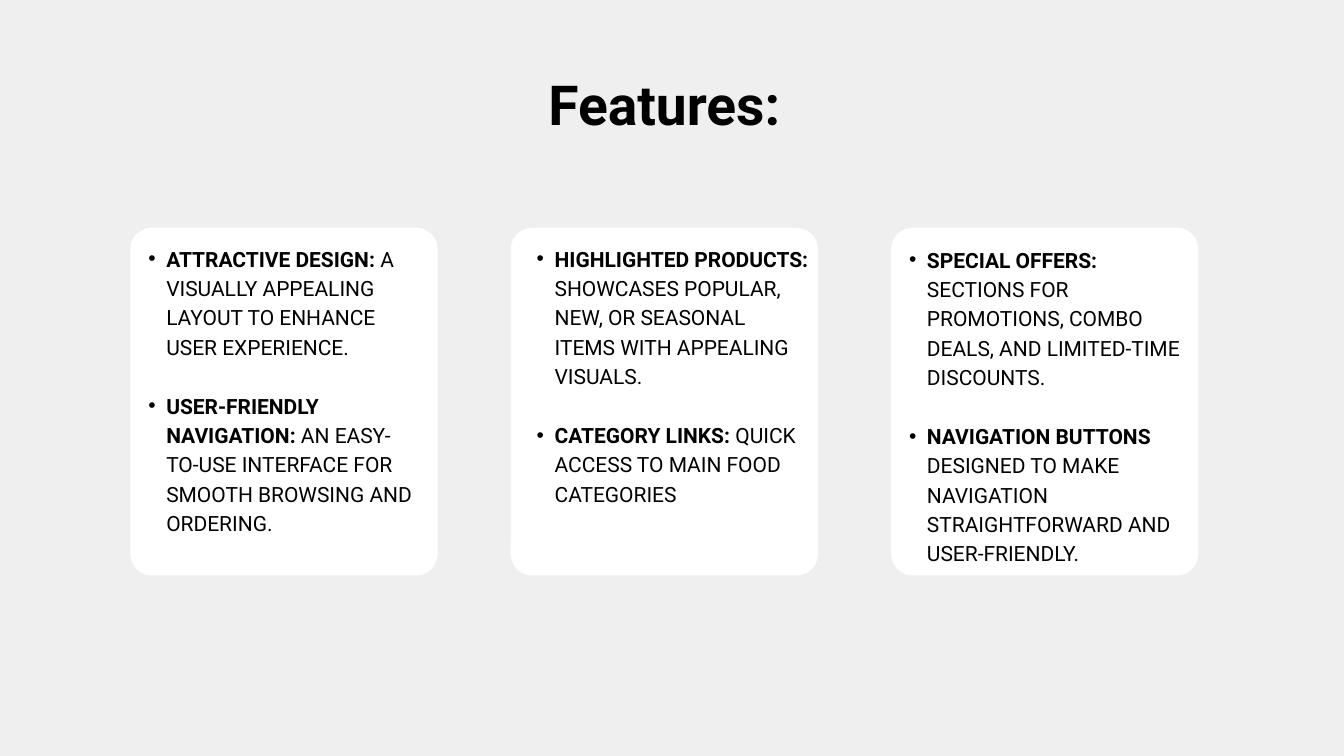
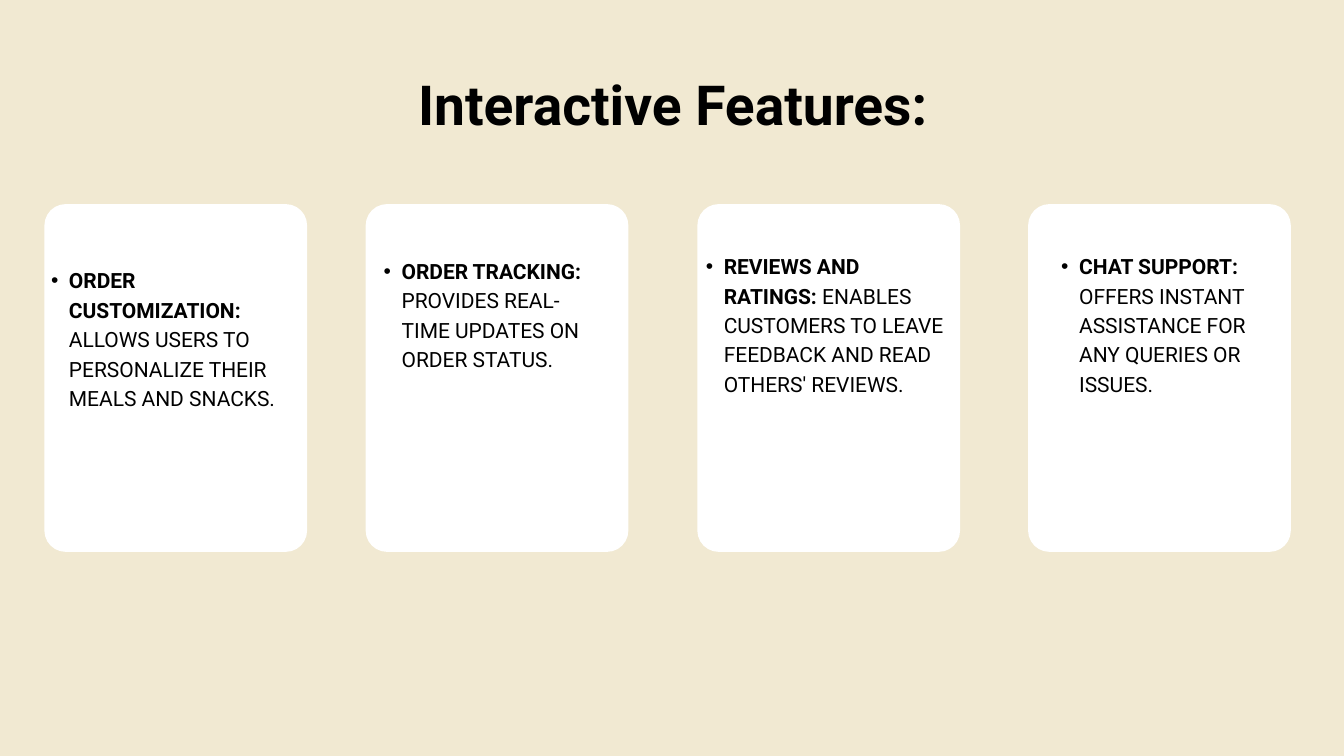
from lxml import etree
from pptx import Presentation
from pptx.dml.color import RGBColor
from pptx.enum.shapes import MSO_SHAPE
from pptx.enum.text import PP_ALIGN
from pptx.oxml.ns import qn
from pptx.util import Inches, Pt

ROUNDED = MSO_SHAPE.ROUNDED_RECTANGLE
LEFT, CENTER = PP_ALIGN.LEFT, PP_ALIGN.CENTER
COLUMNS, ROWS = 128, 72
BLANK_LAYOUT = 6


def color(hex_string):
    return RGBColor.from_string(hex_string)


class Deck:
    """Holds the style and the current slide; lengths are grid columns and rows."""
    font_name = "Roboto"
    ink, card_fill = "000000", "FFFFFF"
    title_size, title_line = 42, 50.4
    body_size, body_line = 16, 22.4
    card_height, corner = 33.12, 2.03
    bullet_margin, bullet_indent = Inches(0.38), Inches(-0.19)

    def __init__(self):
        self.presentation = Presentation()
        self.presentation.slide_width = Inches(14.22)
        self.presentation.slide_height = Inches(8)
        self.slide = None

    def place(self, left, top, width, height):
        column = self.presentation.slide_width / COLUMNS
        row = self.presentation.slide_height / ROWS
        return [round(value) for value in
                (left * column, top * row, width * column, height * row)]

    def add_slide(self, background):
        layout = self.presentation.slide_layouts[BLANK_LAYOUT]
        self.slide = self.presentation.slides.add_slide(layout)
        fill = self.slide.background.fill
        fill.solid()
        fill.fore_color.rgb = color(background)

    def add_card(self, left, top, width):
        shape = self.slide.shapes.add_shape(
            ROUNDED, *self.place(left, top, width, self.card_height))
        shape.adjustments[0] = self.corner / min(width, self.card_height)
        shape.shadow.inherit = False
        shape.fill.solid()
        shape.fill.fore_color.rgb = color(self.card_fill)
        shape.line.fill.background()

    def add_text_frame(self, left, top, width, height):
        box = self.slide.shapes.add_textbox(*self.place(left, top, width, height))
        frame = box.text_frame
        frame.word_wrap = True
        frame.margin_left = frame.margin_right = 0
        frame.margin_top = frame.margin_bottom = 0
        return frame

    def style(self, paragraph, size, line, alignment):
        paragraph.alignment = alignment
        paragraph.line_spacing = Pt(line)
        font = paragraph.font
        font.name, font.size = self.font_name, Pt(size)
        font.color.rgb = color(self.ink)

    def add_title(self, text, left, top):
        paragraph = self.add_text_frame(left, top, 101.7, 6.84).paragraphs[0]
        paragraph.add_run().text = text
        self.style(paragraph, self.title_size, self.title_line, CENTER)
        paragraph.font.bold = True

    def add_bullet_mark(self, paragraph):
        paragraph.level = 1
        properties = paragraph._p.get_or_add_pPr()
        properties.set("marL", str(self.bullet_margin))
        properties.set("indent", str(self.bullet_indent))
        etree.SubElement(properties, qn("a:buFont"), typeface="Arial")
        etree.SubElement(properties, qn("a:buChar"), char="•")

    def add_bullets(self, left, top, width, height, items):
        frame = self.add_text_frame(left, top, width, height)
        for index, (heading, detail) in enumerate(items):
            paragraph = frame.add_paragraph() if index else frame.paragraphs[0]
            self.add_bullet_mark(paragraph)
            self.style(paragraph, self.body_size, self.body_line, LEFT)
            if index:
                paragraph.space_before = Pt(self.body_line)
            for text, bold in ((heading, True), (" " + detail, False)):
                run = paragraph.add_run()
                run.text = text
                run.font.bold = bold


# Text boxes: left, top, width, height, then the bullets
FEATURES = [
    (12.42, 23.04, 27.72, 32.67, [
        ("ATTRACTIVE DESIGN:", "A VISUALLY APPEALING LAYOUT TO ENHANCE USER EXPERIENCE."),
        ("USER-FRIENDLY NAVIGATION:",
         "AN EASY-TO-USE INTERFACE FOR SMOOTH BROWSING AND ORDERING.")]),
    (49.41, 23.04, 27.72, 32.67, [
        ("HIGHLIGHTED PRODUCTS:",
         "SHOWCASES POPULAR, NEW, OR SEASONAL ITEMS WITH APPEALING VISUALS."),
        ("CATEGORY LINKS:", "QUICK ACCESS TO MAIN FOOD CATEGORIES")]),
    (84.87, 23.13, 28.98, 32.67, [
        ("SPECIAL OFFERS:",
         "SECTIONS FOR PROMOTIONS, COMBO DEALS, AND LIMITED-TIME DISCOUNTS."),
        ("NAVIGATION BUTTONS",
         "DESIGNED TO MAKE NAVIGATION STRAIGHTFORWARD AND USER-FRIENDLY.")]),
]
INTERACTIVE_FEATURES = [
    (3.15, 25.11, 26.1, 16.38, [
        ("ORDER CUSTOMIZATION:", "ALLOWS USERS TO PERSONALIZE THEIR MEALS AND SNACKS.")]),
    (34.83, 24.21, 21.96, 13.68, [
        ("ORDER TRACKING:", "PROVIDES REAL-TIME UPDATES ON ORDER STATUS.")]),
    (65.52, 23.76, 25.02, 16.38, [
        ("REVIEWS AND RATINGS:",
         "ENABLES CUSTOMERS TO LEAVE FEEDBACK AND READ OTHERS' REVIEWS.")]),
    (99.36, 23.76, 20.52, 19.08, [
        ("CHAT SUPPORT:", "OFFERS INSTANT ASSISTANCE FOR ANY QUERIES OR ISSUES.")]),
]
FEATURE_CARDS = [12.42 + 36.23 * index for index in range(len(FEATURES))]
INTERACTIVE_CARDS = [4.23, 34.83, 66.42, 97.92]

# Background, title with its place, card lefts, card top, card width, texts
SLIDES = [
    ("EFEFEF", ("Features:", 12.42, 6.75), FEATURE_CARDS, 21.69, 29.25, FEATURES),
    ("F1E9D2", ("Interactive Features:", 13.23, 6.66),
     INTERACTIVE_CARDS, 19.44, 25.02, INTERACTIVE_FEATURES),
]


def main():
    deck = Deck()
    for background, title, card_lefts, card_top, card_width, texts in SLIDES:
        deck.add_slide(background)
        deck.add_title(*title)
        for card_left, text in zip(card_lefts, texts):
            deck.add_card(card_left, card_top, card_width)
            deck.add_bullets(*text)
    deck.presentation.save("out.pptx")


if __name__ == "__main__":
    main()
